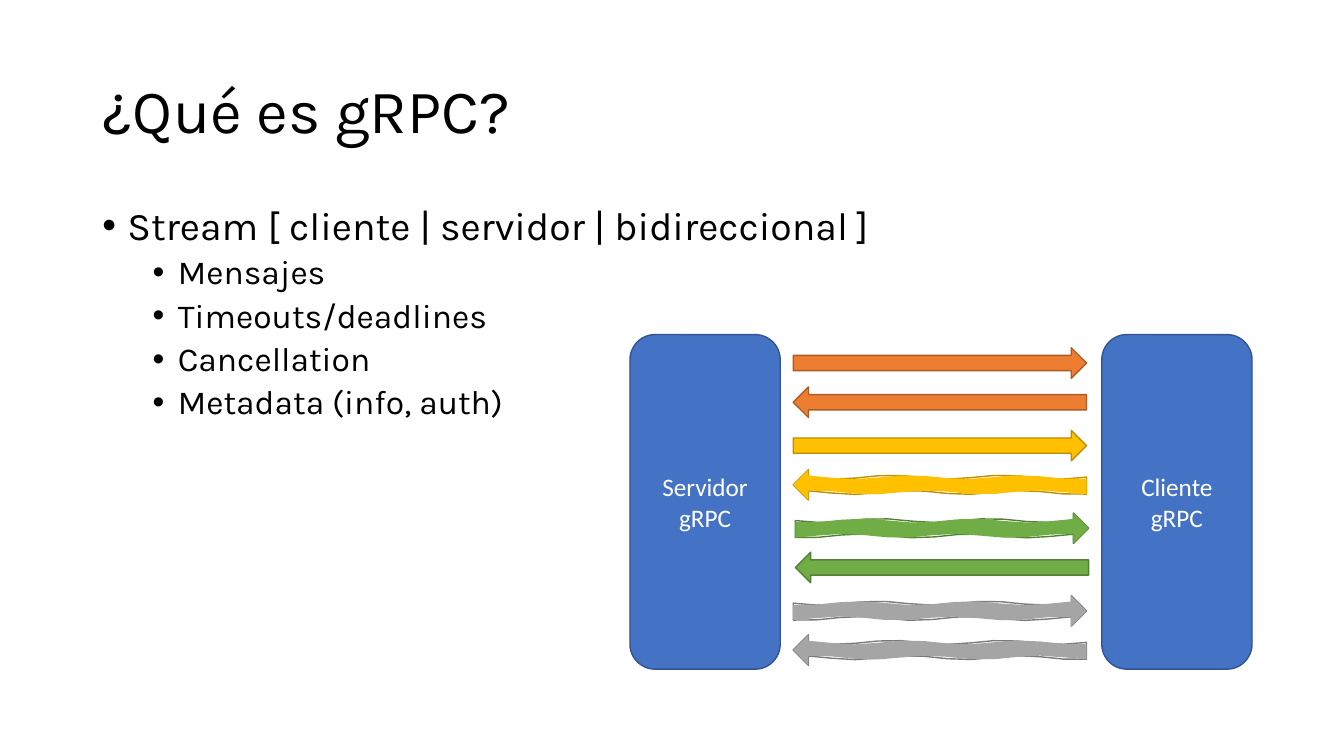
import math

import pptx
import pptx.dml.color
import pptx.enum.shapes
import pptx.enum.text
import pptx.util
from lxml import etree

Pt = pptx.util.Pt
MSO_SHAPE = pptx.enum.shapes.MSO_SHAPE
ANCHOR = pptx.enum.text.MSO_ANCHOR
ALIGN = pptx.enum.text.PP_ALIGN

ARROW_LENGTH, ARROW_HEIGHT = 209.5, 21.8
WAVE_STEPS = 12
TOPICS = ["Mensajes", "Timeouts/deadlines", "Cancellation", "Metadata (info, auth)"]
EXCHANGES = [
    ("ED7D31", "AF5C24", 566.6, False, False),
    ("FFC000", "BD8E00", 566.6, False, True),
    ("70AD47", "538035", 568.1, True, False),
    ("A5A5A5", "7A7A7A", 566.6, True, True),
]


def rgb(code):
    """Return the colour for a hex string."""
    return pptx.dml.color.RGBColor.from_string(code)


def paint(shape, fill, border):
    """Set fill and border, either of which may be None."""
    shape.shadow.inherit = False
    if fill:
        shape.fill.solid()
        shape.fill.fore_color.rgb = rgb(fill)
    else:
        shape.fill.background()
    if border:
        shape.line.color.rgb = rgb(border)
        shape.line.width = Pt(1)
    else:
        shape.line.fill.background()


def write(paragraph, text, size, font, color):
    """Add one formatted run to a paragraph."""
    run = paragraph.add_run()
    run.text = text
    run.font.size = Pt(size)
    run.font.name = font
    run.font.color.rgb = rgb(color)


def add_text_frame(slide, left, top, width, height, anchor):
    """Add a wrapping text box and return its frame."""
    frame = slide.shapes.add_textbox(Pt(left), Pt(top), Pt(width), Pt(height)).text_frame
    frame.word_wrap = True
    frame.vertical_anchor = anchor
    return frame


def add_bullet(paragraph, text, size, indent, space_before):
    """Write a bulleted line with a hanging indent."""
    properties = paragraph._p.get_or_add_pPr()
    properties.set("marL", str(Pt(indent)))
    properties.set("indent", str(Pt(-18)))
    for tag, key, value in (("buFont", "typeface", "Arial"), ("buChar", "char", "•")):
        etree.SubElement(properties, pptx.oxml.ns.qn(f"a:{tag}")).set(key, value)
    paragraph.line_spacing = 0.9
    paragraph.space_before = Pt(space_before)
    write(paragraph, text, size, "Karla", "000000")


def add_endpoint(slide, left, label):
    """Add one of the two communicating parties."""
    party = slide.shapes.add_shape(
        MSO_SHAPE.ROUNDED_RECTANGLE, Pt(left), Pt(239), Pt(107.3), Pt(239))
    paint(party, "4472C4", "325491")
    party.text_frame.word_wrap = True
    party.text_frame.vertical_anchor = ANCHOR.MIDDLE
    paragraph = party.text_frame.paragraphs[0]
    paragraph.alignment = ALIGN.CENTER
    write(paragraph, label, 18, "Calibri", "FFFFFF")


def add_message(slide, left, top, reply, fill, border):
    """Add a straight arrow for a single message."""
    message = slide.shapes.add_shape(
        MSO_SHAPE.RIGHT_ARROW, Pt(left), Pt(top), Pt(ARROW_LENGTH), Pt(ARROW_HEIGHT))
    message.rotation = 180 if reply else 0
    paint(message, fill, border)


def wavy_edge(shaft, base, phase):
    """Return points along one wavy side of a shaft."""
    return [(shaft * i / WAVE_STEPS,
             base + 1.4 * math.sin(5 * math.pi * i / WAVE_STEPS + phase))
            for i in range(WAVE_STEPS + 1)]


def wavy_outline(left, top, reply, phase):
    """Return the corner points of an arrow with a wavy shaft."""
    middle = ARROW_HEIGHT / 2
    shaft = ARROW_LENGTH - middle
    head = [(shaft, 0), (ARROW_LENGTH, middle), (shaft, ARROW_HEIGHT)]
    upper = wavy_edge(shaft, middle * 0.5, phase)
    lower = wavy_edge(shaft, middle * 1.5, phase + 1)
    points = upper + head + lower[::-1]
    return [(Pt(left + (ARROW_LENGTH - x if reply else x)), Pt(top + y)) for x, y in points]


def add_stream(slide, left, top, reply, fill, border):
    """Add a hand-drawn arrow for a stream, with a loose outline and fill."""
    for phase, layer_fill, layer_border in ((0, None, border), (1, fill, None)):
        points = wavy_outline(left, top, reply, phase)
        builder = slide.shapes.build_freeform(*points[0])
        builder.add_line_segments(points[1:], close=True)
        paint(builder.convert_to_shape(), layer_fill, layer_border)


def main():
    """Build the slide and save it."""
    deck = pptx.Presentation()
    deck.slide_width, deck.slide_height = Pt(960), Pt(540)
    slide = deck.slides.add_slide(deck.slide_layouts[6])

    heading = add_text_frame(slide, 66, 28.8, 828, 104.4, ANCHOR.MIDDLE).paragraphs[0]
    heading.line_spacing = 0.9
    write(heading, "¿Qué es gRPC?", 44, "Karla", "000000")

    body = add_text_frame(slide, 66, 144, 828, 342.7, ANCHOR.TOP)
    add_bullet(body.paragraphs[0], "Stream [ cliente | servidor | bidireccional ]", 28, 18, 0)
    for topic in TOPICS:
        add_bullet(body.add_paragraph(), topic, 24, 54, 5)

    add_endpoint(slide, 450, "Servidor gRPC")
    add_endpoint(slide, 787, "Cliente gRPC")

    for row, (fill, border, left, *streamed) in enumerate(EXCHANGES):
        for reply, is_stream in enumerate(streamed):
            add_arrow = add_stream if is_stream else add_message
            add_arrow(slide, left, 248.4 + 59 * row + 28 * reply, reply, fill, border)

    deck.save("out.pptx")


if __name__ == "__main__":
    main()
